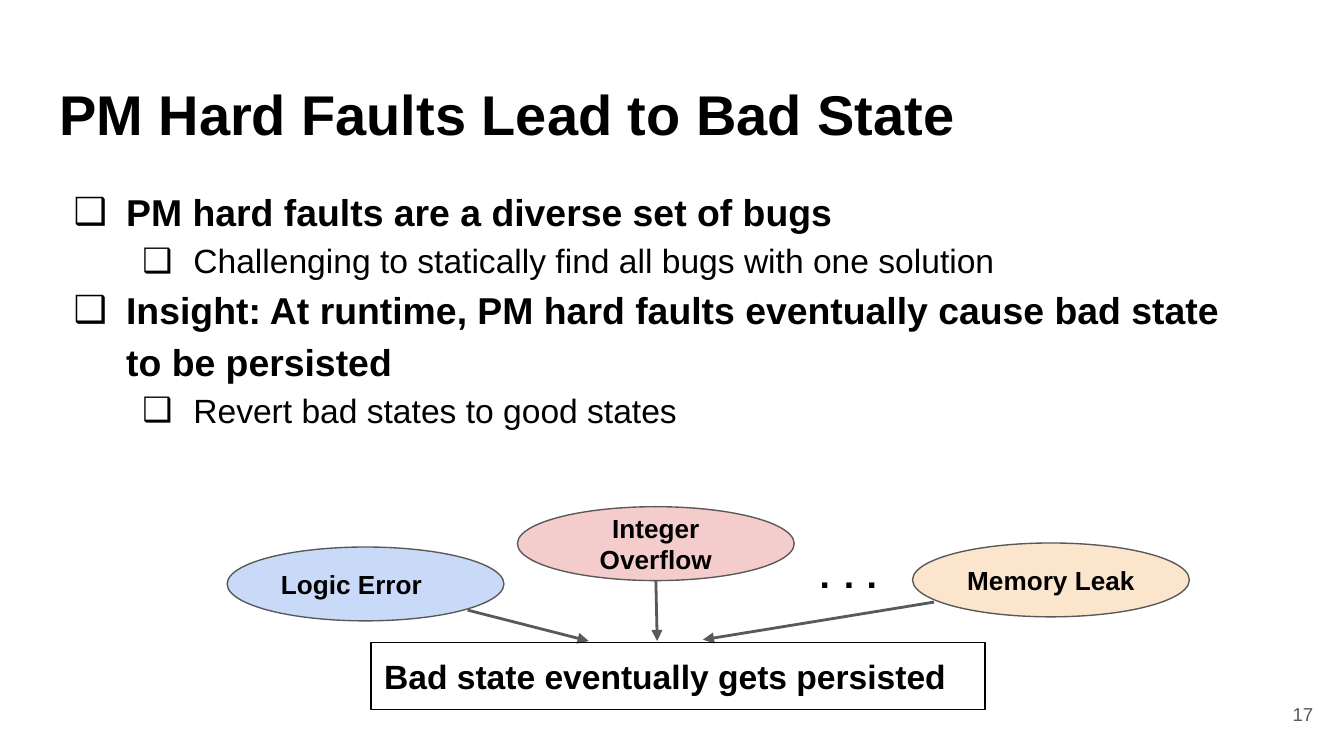
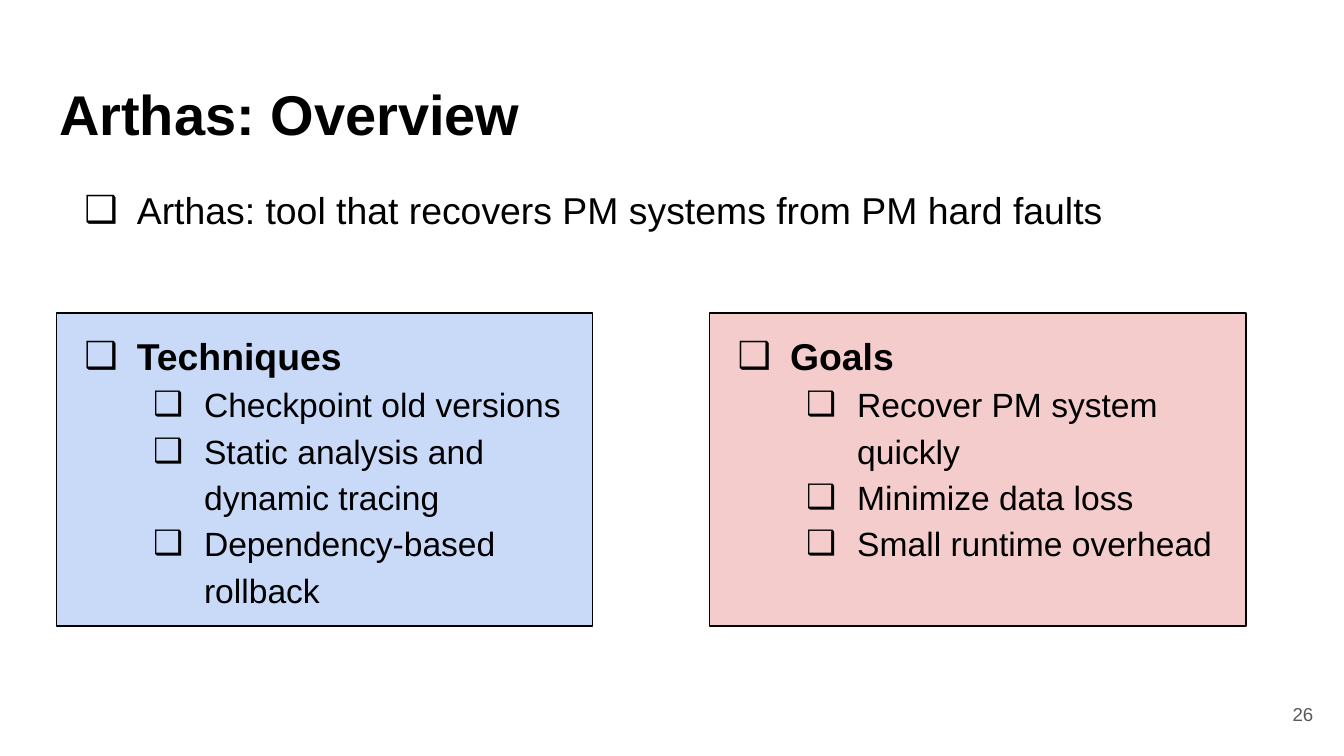
from lxml.etree import SubElement
from pptx import Presentation
from pptx.dml.color import RGBColor
from pptx.enum.shapes import MSO_CONNECTOR, MSO_SHAPE
from pptx.enum.text import MSO_ANCHOR, MSO_AUTO_SIZE, PP_ALIGN
from pptx.oxml.ns import qn
from pptx.util import Inches, Pt

FONT = "Arial"
BLACK, GRAY = "000000", "595959"
BLUE, PINK, PEACH = "C9DAF8", "F4CCCC", "FCE5CD"
LEVEL_SIZES = (20, 18)
LEVEL_INDENTS = ((0.5, -0.39), (1, -0.38))


def rgb(color):
    """Turn a hex string into a colour."""
    return RGBColor.from_string(color)


def set_font(paragraph, size, bold=False, color=BLACK):
    """Set the font of a whole paragraph."""
    font = paragraph.font
    font.name, font.size, font.bold = FONT, Pt(size), bold
    font.color.rgb = rgb(color)


def set_frame(frame, anchor=MSO_ANCHOR.TOP, inset=0.1):
    """Wrap a text frame and set its anchor and insets."""
    frame.word_wrap = True
    frame.auto_size = MSO_AUTO_SIZE.NONE
    frame.vertical_anchor = anchor
    frame.margin_left = frame.margin_right = Inches(0.1)
    frame.margin_top = frame.margin_bottom = Inches(inset)


def write_line(frame, text, size, bold=True, color=BLACK, align=PP_ALIGN.LEFT):
    """Write one paragraph into a text frame."""
    paragraph = frame.paragraphs[0]
    paragraph.text = text
    paragraph.alignment = align
    set_font(paragraph, size, bold, color)


def write_bullets(frame, items):
    """Write (level, text, bold) items as checkbox bullets."""
    for index, (level, text, bold) in enumerate(items):
        paragraph = frame.add_paragraph() if index else frame.paragraphs[0]
        paragraph.text = text
        paragraph.level = level
        paragraph.alignment = PP_ALIGN.LEFT
        paragraph.line_spacing = 1.15
        properties = paragraph._p.get_or_add_pPr()
        margin, indent = LEVEL_INDENTS[level]
        properties.set("marL", str(Inches(margin)))
        properties.set("indent", str(Inches(indent)))
        bullet_color = SubElement(properties, qn("a:buClr"))
        SubElement(bullet_color, qn("a:srgbClr"), val=BLACK)
        SubElement(properties, qn("a:buFont"), typeface=FONT)
        SubElement(properties, qn("a:buChar"), char="❑")
        set_font(paragraph, LEVEL_SIZES[level], bold)


def add_text_frame(slide, left, top, width, height, **frame_options):
    """Add a text box and return its frame."""
    box = slide.shapes.add_textbox(Inches(left), Inches(top), Inches(width), Inches(height))
    set_frame(box.text_frame, **frame_options)
    return box.text_frame


def add_outlined(slide, preset, left, top, width, height, fill=None,
                 line=BLACK, anchor=MSO_ANCHOR.TOP):
    """Add a thinly outlined shape and return its text frame."""
    shape = slide.shapes.add_shape(
        preset, Inches(left), Inches(top), Inches(width), Inches(height))
    shape.shadow.inherit = False
    if fill:
        shape.fill.solid()
        shape.fill.fore_color.rgb = rgb(fill)
    else:
        shape.fill.background()
    shape.line.color.rgb = rgb(line)
    shape.line.width = Pt(0.75)
    set_frame(shape.text_frame, anchor)
    return shape.text_frame


def add_arrow(slide, start, end):
    """Draw a gray arrow between two points."""
    arrow = slide.shapes.add_connector(
        MSO_CONNECTOR.STRAIGHT, *(Inches(value) for value in (*start, *end)))
    arrow.line.color.rgb = rgb(GRAY)
    arrow.line.width = Pt(1.5)
    properties = arrow._element.spPr
    SubElement(properties.find(qn("a:ln")), qn("a:tailEnd"), type="triangle")
    SubElement(properties, qn("a:effectLst"))


def add_titled_slide(deck, title, number):
    """Add a slide with its title and page number."""
    slide = deck.slides.add_slide(deck.slide_layouts[5])
    heading = slide.shapes.title
    heading.left, heading.top = Inches(0.34), Inches(0.49)
    heading.width, heading.height = Inches(9.32), Inches(0.63)
    set_frame(heading.text_frame)
    write_line(heading.text_frame, title, 30)
    page = add_text_frame(slide, 9.27, 5.1, 0.6, 0.43, anchor=MSO_ANCHOR.MIDDLE)
    write_line(page, str(number), 10, False, GRAY, PP_ALIGN.RIGHT)
    return slide


def build_bad_state(deck):
    """Build the slide on how hard faults lead to bad state."""
    slide = add_titled_slide(deck, "PM Hard Faults Lead to Bad State", 17)
    write_bullets(add_text_frame(slide, 0.34, 1.26, 8.98, 2.06), [
        (0, "PM hard faults are a diverse set of bugs", True),
        (1, "Challenging to statically find all bugs with one solution", False),
        (0, "Insight: At runtime, PM hard faults eventually cause bad state "
            "to be persisted", True),
        (1, "Revert bad states to good states", False),
    ])
    faults = [
        ("Logic Error", 1.69, 4.07, BLUE, PP_ALIGN.LEFT, (3.48, 4.54), (4.38, 4.77)),
        ("Integer Overflow", 3.85, 3.77, PINK, PP_ALIGN.CENTER, (4.88, 4.32), (4.89, 4.77)),
        ("Memory Leak", 6.79, 4.04, PEACH, PP_ALIGN.CENTER, (6.95, 4.48), (5.23, 4.76)),
    ]
    for fault, left, top, fill, align, start, end in faults:
        oval = add_outlined(slide, MSO_SHAPE.OVAL, left, top, 2.06, 0.55,
                            fill, GRAY, MSO_ANCHOR.MIDDLE)
        write_line(oval, fault, 14, align=align)
        add_arrow(slide, start, end)
    outcome = add_outlined(slide, MSO_SHAPE.RECTANGLE, 2.76, 4.78, 4.57, 0.5)
    write_line(outcome, "Bad state eventually gets persisted", 18)
    for left in (6, 6.18, 6.35):
        write_line(add_text_frame(slide, left, 4.05, 0.38, 0.44, inset=0.05), ".", 20)


def build_overview(deck):
    """Build the overview slide with its two panels."""
    slide = add_titled_slide(deck, "Arthas: Overview", 26)
    write_bullets(add_text_frame(slide, 0.42, 1.24, 9.32, 3.74), [
        (0, "Arthas: tool that recovers PM systems from PM hard faults", False)])
    panels = [
        ("Techniques", 0.42, BLUE, ["Checkpoint old versions",
                                    "Static analysis and dynamic tracing",
                                    "Dependency-based rollback"]),
        ("Goals", 5.28, PINK, ["Recover PM system quickly",
                               "Minimize data loss",
                               "Small runtime overhead"]),
    ]
    for heading, left, fill, points in panels:
        panel = add_outlined(slide, MSO_SHAPE.RECTANGLE, left, 2.33, 3.99, 2.33, fill)
        write_bullets(panel, [(0, heading, True)] + [(1, point, False) for point in points])


def main():
    """Build and save the deck."""
    deck = Presentation()
    deck.slide_width = Inches(10)
    deck.slide_height = Inches(10) * 9 // 16
    build_bad_state(deck)
    build_overview(deck)
    deck.save("out.pptx")


if __name__ == "__main__":
    main()
